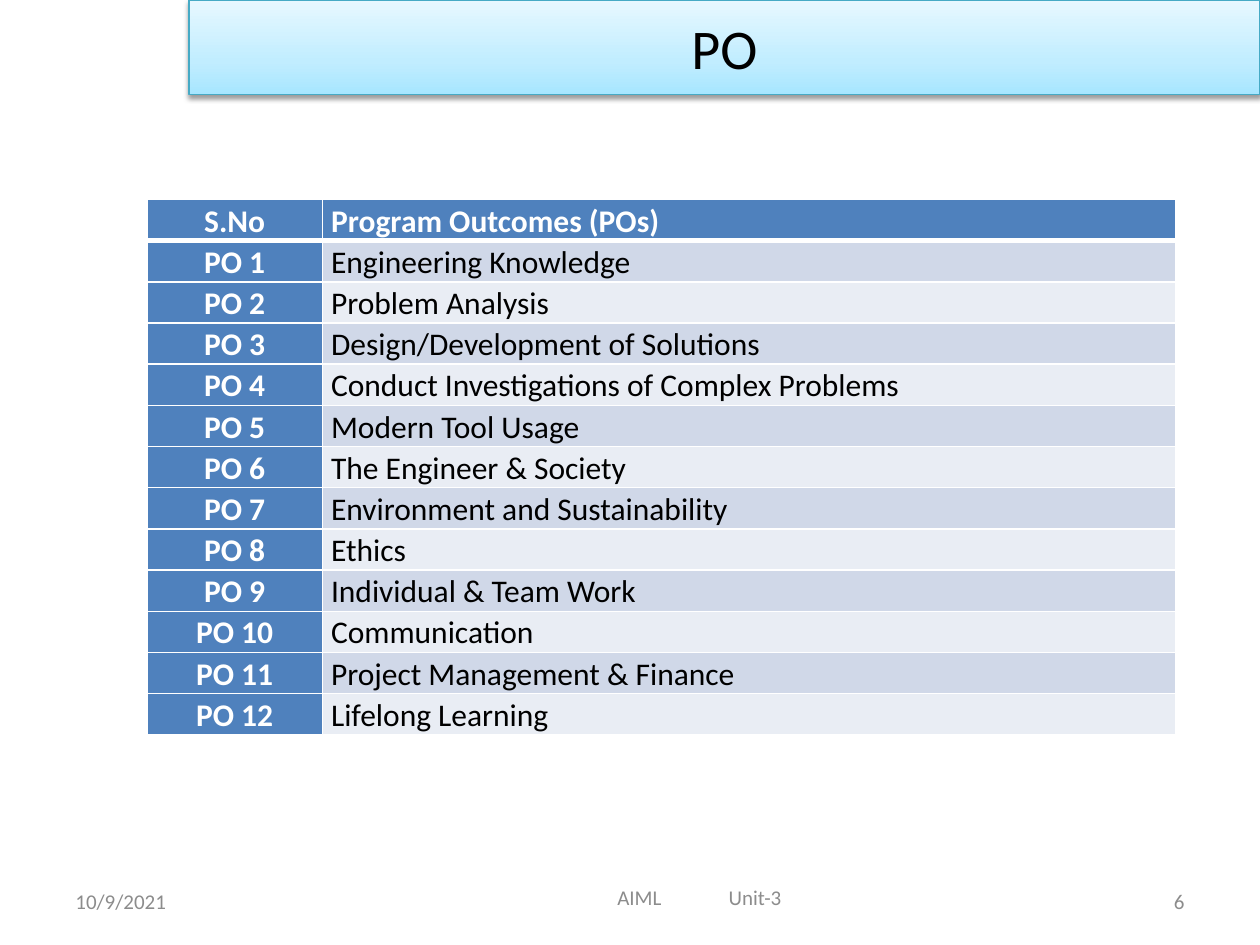
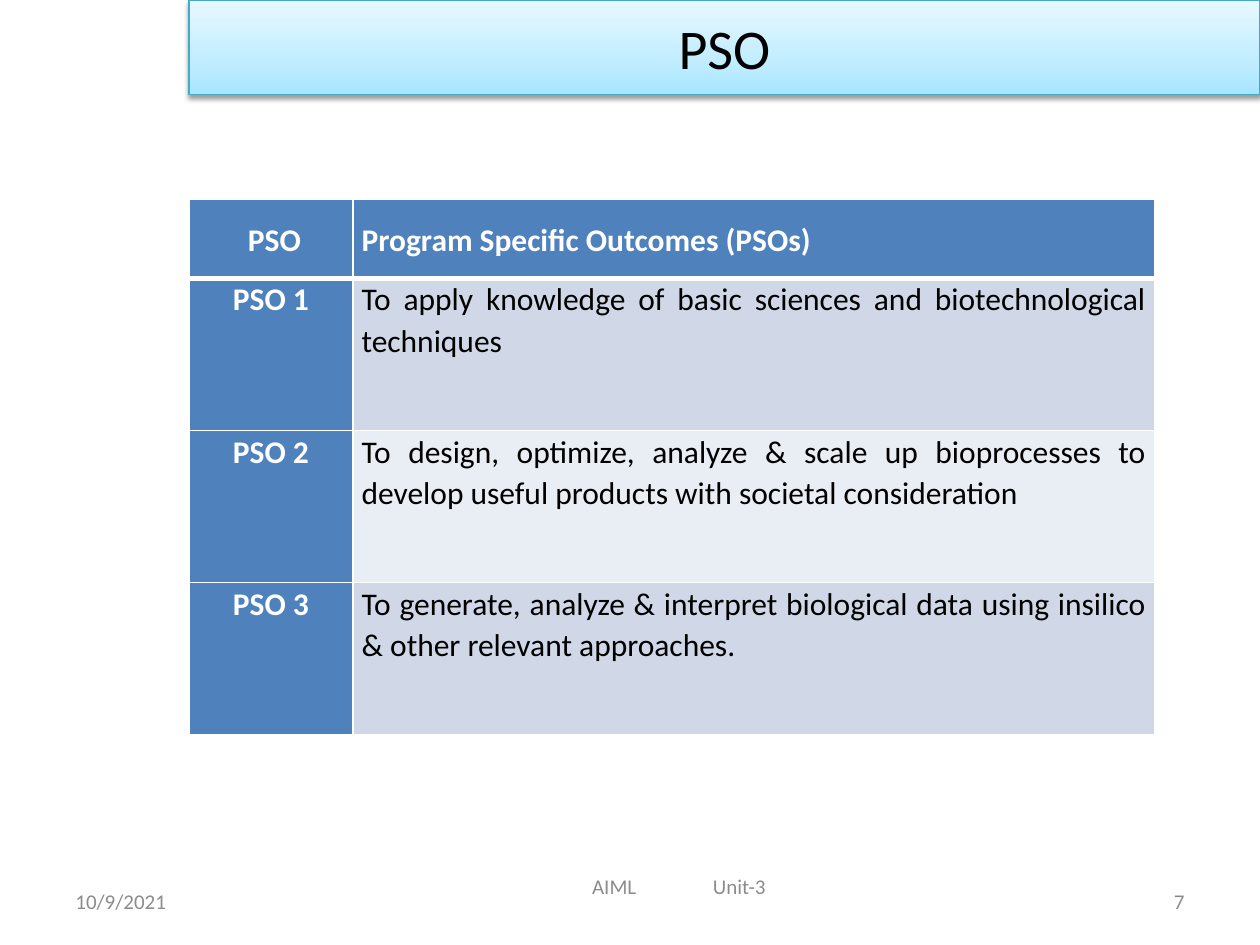
import copy
import dataclasses

import lxml.etree
import pptx
import pptx.dml.color
import pptx.enum.shapes
import pptx.enum.text
import pptx.oxml.ns
import pptx.util


@dataclasses.dataclass
class Theme:
    font: str = "Calibri"
    title_size: int = 32
    table_size: int = 18
    footer_size: int = 12
    black: str = "000000"
    white: str = "FFFFFF"
    footer: str = "8C8C8C"
    header: str = "4F81BD"
    bands: tuple = ("D0D8E8", "E9EDF4")
    title_line: str = "46AAC5"
    title_gradient: tuple = ((0, "A7E6FF"), (0.35, "C1EDFF"), (1, "E7F8FF"))
    line_spacing: float = 1.07


theme = Theme()
rgb = pptx.dml.color.RGBColor.from_string
qn = pptx.oxml.ns.qn
Align = pptx.enum.text.PP_ALIGN
Anchor = pptx.enum.text.MSO_ANCHOR

presentation = pptx.Presentation()
presentation.slide_width = pptx.util.Inches(10)
presentation.slide_height = pptx.util.Inches(7.5)

# The slide is a grid of 120 columns by 90 rows of square units
UNIT = presentation.slide_width / 120
TABLE_TOP, TABLE_ROWS = 19, 51
FOOTER_TOP, FOOTER_ROWS = 83.4, 4.8


def grid(*units):
    return [pptx.util.Emu(round(unit * UNIT)) for unit in units]


def write(text_frame, text, size, color, align=Align.LEFT, bold=False):
    text_frame.text = text
    text_frame.word_wrap = True
    paragraph = text_frame.paragraphs[0]
    paragraph.alignment = align
    for run in paragraph.runs:
        run.font.name = theme.font
        run.font.size = pptx.util.Pt(size)
        run.font.bold = bold
        run.font.color.rgb = rgb(color)
    return paragraph


# What differs from slide to slide
outcomes = [
    "Engineering Knowledge", "Problem Analysis", "Design/Development of Solutions",
    "Conduct Investigations of Complex Problems", "Modern Tool Usage",
    "The Engineer & Society", "Environment and Sustainability", "Ethics",
    "Individual & Team Work", "Communication", "Project Management & Finance",
    "Lifelong Learning",
]
specific_outcomes = [
    "To apply knowledge of basic sciences and biotechnological techniques",
    "To design, optimize, analyze & scale up bioprocesses to develop useful "
    "products with societal consideration",
    "To generate, analyze & interpret biological data using insilico "
    "& other relevant approaches.",
]
pages = [
    dict(title="PO", number=6, headings=("S.No", "Program Outcomes (POs)"),
         entries=outcomes, left=14, columns=(16.7, 81.3), header_rows=TABLE_ROWS / 13,
         anchor=Anchor.MIDDLE, align=Align.LEFT,
         course_left=31, course_top=83, course_inset=27.8, unit_tab=10.6),
    dict(title="PSO", number=7, headings=(" PSO", "Program Specific Outcomes (PSOs)"),
         entries=specific_outcomes, left=18, columns=(15.6, 76.4), header_rows=7.5,
         anchor=Anchor.TOP, align=Align.JUSTIFY,
         course_left=29, course_top=82, course_inset=27.4, unit_tab=11.5),
]

for page in pages:
    slide = presentation.slides.add_slide(presentation.slide_layouts[6])

    # Title band
    band = slide.shapes.add_shape(
        pptx.enum.shapes.MSO_SHAPE.RECTANGLE, *grid(18, 0, 102, 9))
    band.fill.gradient()
    band.fill.gradient_angle = 90
    stop_list = band._element.spPr.find(".//" + qn("a:gsLst"))
    stop_list.append(copy.deepcopy(stop_list[0]))
    for stop, (position, color) in zip(band.fill.gradient_stops, theme.title_gradient):
        stop.position = position
        stop.color.rgb = rgb(color)
    band.line.color.rgb = rgb(theme.title_line)
    band.line.width = pptx.util.Pt(0.75)
    band.shadow.inherit = False
    shadow = lxml.etree.SubElement(
        band._element.spPr.find(qn("a:effectLst")), qn("a:outerShdw"),
        blurRad=str(pptx.util.Pt(3.1)), dist=str(pptx.util.Pt(1.6)),
        dir="5400000", rotWithShape="0")
    shadow_color = lxml.etree.SubElement(shadow, qn("a:srgbClr"), val=theme.black)
    lxml.etree.SubElement(shadow_color, qn("a:alpha"), val="38000")
    band.text_frame.vertical_anchor = Anchor.MIDDLE
    write(band.text_frame, page["title"], theme.title_size, theme.black, Align.CENTER)

    # Outcome table
    entries = [(f"{page['title']} {number}", text)
               for number, text in enumerate(page["entries"], 1)]
    rows = [page["headings"], *entries]
    table = slide.shapes.add_table(
        len(rows), 2,
        *grid(page["left"], TABLE_TOP, sum(page["columns"]), TABLE_ROWS)).table
    table.horz_banding = False
    for column, width in zip(table.columns, grid(*page["columns"])):
        column.width = width
    entry_rows = (TABLE_ROWS - page["header_rows"]) / len(entries)
    for row_index, texts in enumerate(rows):
        is_header = row_index == 0
        table.rows[row_index].height = grid(
            page["header_rows"] if is_header else entry_rows)[0]
        for column_index, text in enumerate(texts):
            cell = table.cell(row_index, column_index)
            is_label = column_index == 0
            strong = is_header or is_label
            cell.margin_left = cell.margin_right = pptx.util.Inches(0.07)
            cell.margin_top = cell.margin_bottom = 0
            cell.vertical_anchor = Anchor.MIDDLE if is_header else page["anchor"]
            align = Align.CENTER if is_label else Align.LEFT if is_header else page["align"]
            paragraph = write(cell.text_frame, text, theme.table_size,
                              theme.white if strong else theme.black, align, strong)
            paragraph.line_spacing = theme.line_spacing

            # Borders come before the fill in the cell properties
            properties = cell._tc.get_or_add_tcPr()
            for side in "LRTB":
                heavy = (side, row_index) in (("B", 0), ("T", 1))
                border = lxml.etree.SubElement(
                    properties, qn(f"a:ln{side}"), w=str(pptx.util.Pt(3 if heavy else 1)))
                border_fill = lxml.etree.SubElement(border, qn("a:solidFill"))
                lxml.etree.SubElement(border_fill, qn("a:srgbClr"), val=theme.white)
            cell.fill.solid()
            cell.fill.fore_color.rgb = rgb(
                theme.header if strong else theme.bands[(row_index - 1) % 2])

    # Footer: date, page number, course and unit
    footers = [
        ("10/9/2021", 6, FOOTER_TOP, 28, Align.LEFT),
        (str(page["number"]), 86, FOOTER_TOP, 28, Align.RIGHT),
        ("AIML\tUnit-3", page["course_left"], page["course_top"], 66, Align.LEFT),
    ]
    for text, left, top, width, align in footers:
        box = slide.shapes.add_textbox(*grid(left, top, width, FOOTER_ROWS))
        box.text_frame.vertical_anchor = Anchor.MIDDLE
        paragraph = write(box.text_frame, text, theme.footer_size, theme.footer, align)
    box.text_frame.margin_left = grid(page["course_inset"])[0]
    tabs = lxml.etree.SubElement(paragraph._p.get_or_add_pPr(), qn("a:tabLst"))
    lxml.etree.SubElement(
        tabs, qn("a:tab"), pos=str(grid(page["unit_tab"])[0]), algn="l")

presentation.save("out.pptx")
